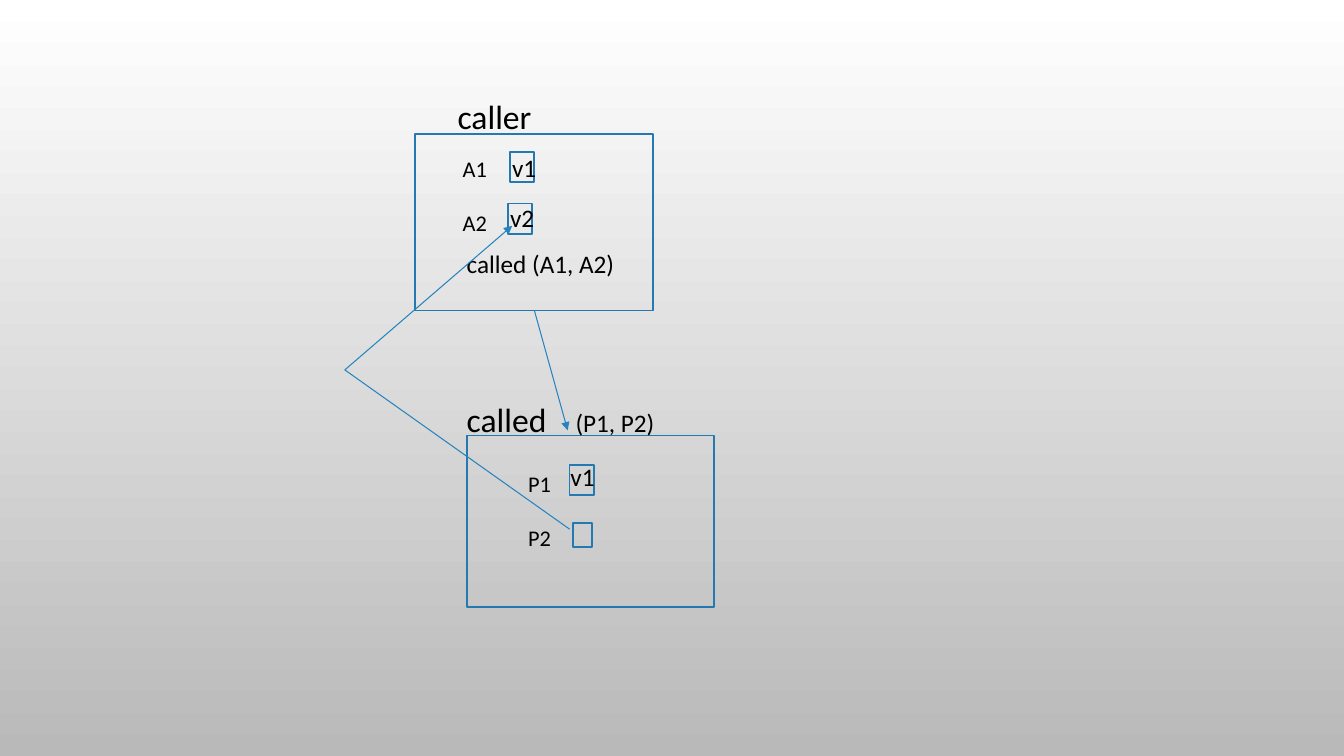
from dataclasses import dataclass

from lxml.etree import SubElement
from pptx import Presentation
from pptx.dml.color import RGBColor as Rgb
from pptx.enum.shapes import MSO_CONNECTOR as Connector, MSO_SHAPE as Shape
from pptx.oxml.ns import qn
from pptx.util import Inches, Pt


@dataclass(frozen=True)
class Theme:
    font: str = "Calibri"
    ink: str = "000000"
    outline: str = "2379B0"
    arrow: str = "2683BF"
    sky: str = "FFFFFF"
    ground: str = "B9B9B9"
    heading: int = 24
    body: int = 18
    label: int = 16
    outline_width: float = 1.25
    arrow_width: float = 0.75
    cell: float = 0.1


def write(paragraph, text, *, font, size, color):
    run = paragraph.add_run()
    run.text = text
    run.font.name = font
    run.font.size = Pt(size)
    run.font.color.rgb = Rgb.from_string(color)


class Diagram:
    def __init__(self, slide, theme):
        self.slide = slide
        self.theme = theme

    def grid(self, *cells):
        return [Inches(cell * self.theme.cell) for cell in cells]

    def background(self):
        fill = self.slide.background.fill
        fill.gradient()
        fill.gradient_angle = 270
        for stop, color in zip(fill.gradient_stops, (self.theme.sky, self.theme.ground)):
            stop.color.rgb = Rgb.from_string(color)

    def box(self, column, row, columns, rows):
        frame = self.slide.shapes.add_shape(
            Shape.RECTANGLE, *self.grid(column, row, columns, rows))
        frame.shadow.inherit = False
        frame.fill.background()
        frame.line.color.rgb = Rgb.from_string(self.theme.outline)
        frame.line.width = Pt(self.theme.outline_width)
        return frame

    def text(self, column, row, columns, rows, lines, gap=0, tab=None):
        area = self.slide.shapes.add_textbox(*self.grid(column, row, columns, rows))
        body = area.text_frame
        body.word_wrap = True
        for index, runs in enumerate(lines):
            paragraph = body.add_paragraph() if index else body.paragraphs[0]
            if index:
                paragraph.space_before = Pt(gap)
            for words, size in runs:
                write(paragraph, words, font=self.theme.font, size=size,
                      color=self.theme.ink)
            if tab:
                stops = SubElement(paragraph._p.get_or_add_pPr(), qn("a:tabLst"))
                SubElement(stops, qn("a:tab"), pos=str(self.grid(tab)[0]), algn="l")

    def line(self, start, end, arrow=True, source=None):
        link = self.slide.shapes.add_connector(
            Connector.STRAIGHT, *self.grid(*start, *end))
        if source:
            link.begin_connect(source, 2)
        link.line.color.rgb = Rgb.from_string(self.theme.arrow)
        link.line.width = Pt(self.theme.arrow_width)
        if arrow:
            SubElement(link.line._get_or_add_ln(), qn("a:tailEnd"), type="triangle")
        SubElement(link._element.spPr, qn("a:effectLst"))


def main():
    deck = Presentation()
    deck.slide_width, deck.slide_height = Inches(13.33), Inches(7.5)
    theme = Theme()
    diagram = Diagram(deck.slides.add_slide(deck.slide_layouts[6]), theme)
    diagram.background()

    caller = diagram.box(41.2, 13.3, 23.6, 17.5)
    diagram.box(46.3, 43.2, 24.5, 17)
    diagram.line((53, 30.8), (56.3, 42.7), source=caller)

    diagram.text(44.4, 9, 10.5, 5, [[("caller", theme.heading)]])
    diagram.text(45.3, 39.1, 32.5, 5,
                 [[("called\t", theme.heading), ("(P1, P2)", theme.body)]], tab=10.8)
    diagram.text(45.3, 24.1, 23.8, 4, [[("called (A1, A2)", theme.body)]])

    for column, row, names in ((44.9, 14.9, ("A1", "A2")), (51.4, 46.1, ("P1", "P2"))):
        diagram.text(column, row, 5.5, 9.1, [[(name, theme.label)] for name in names],
                     gap=19.5)

    for column, row in ((50.6, 15.1), (50.4, 20.2), (56.5, 46.1)):
        diagram.box(column, row, 2.4, 3)
    diagram.box(56.8, 51.9, 1.9, 2.4)

    for value, column, row in (("v1", 49.8, 14.6), ("v2", 49.6, 19.6), ("v1", 55.6, 45.3)):
        diagram.text(column, row, 5.5, 4, [[(value, theme.body)]])

    bend = (34.2, 36.7)
    diagram.line(bend, (50.8, 22.4))
    diagram.line((56.5, 52.5), bend, arrow=False)

    deck.save("out.pptx")


if __name__ == "__main__":
    main()
